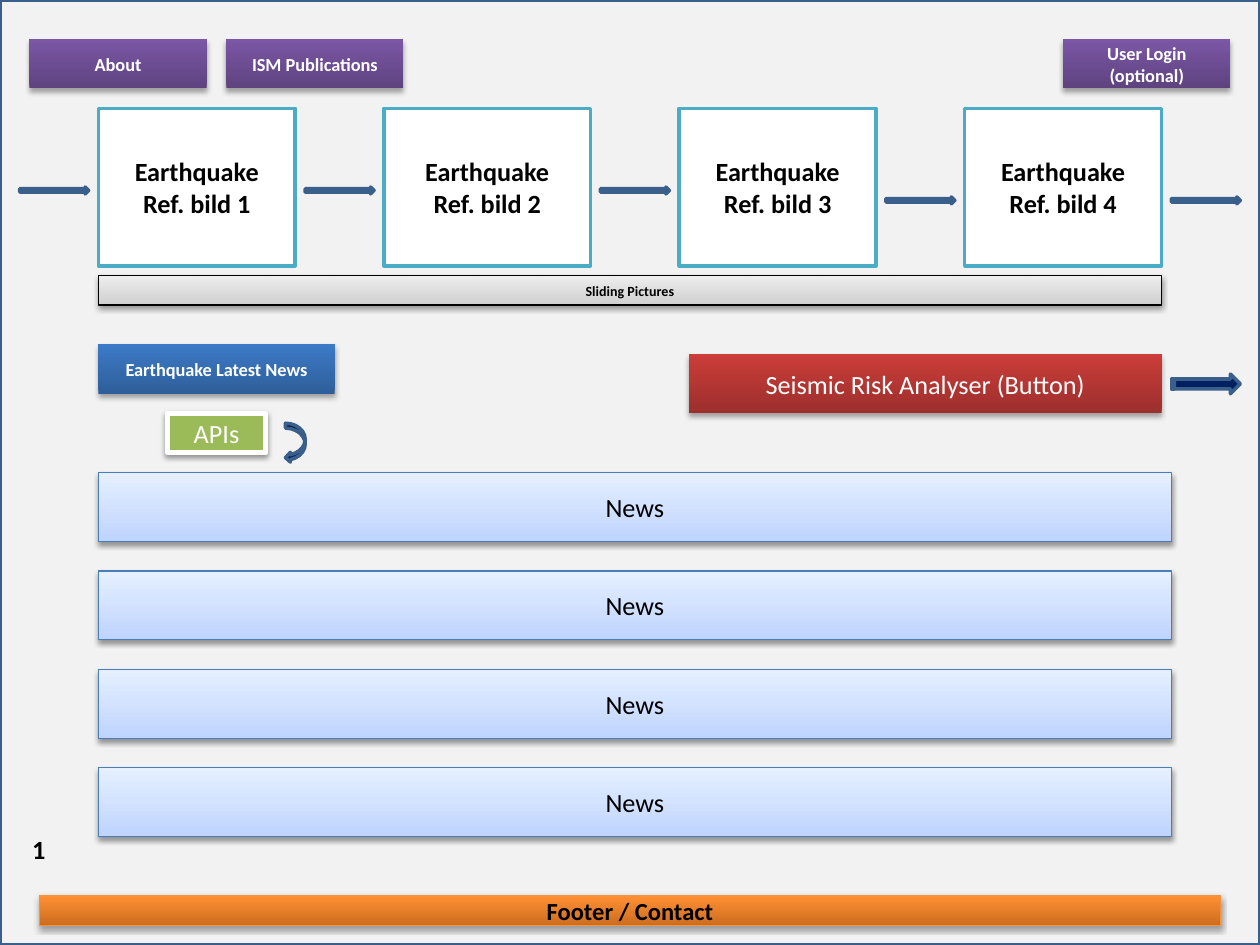
import pptx
import pptx.util
import pptx.dml.color
import pptx.enum.shapes
import pptx.enum.text
import pptx.oxml

Pt = pptx.util.Pt
KIND = pptx.enum.shapes.MSO_SHAPE
SOFT = (35, 1.8)
FIRM = (38, 1.6)
PURPLE = ("7B57A5", "5E437F")


def tint(color, value):
    """Set a colour from a hex string."""
    color.rgb = pptx.dml.color.RGBColor.from_string(value)


def shade(shape, alpha, drop):
    """Give a shape a downward shadow."""
    xml = (
        '<a:outerShdw xmlns:a="http://schemas.openxmlformats.org/drawingml/2006/main" '
        f'blurRad="{Pt(3.1)}" dist="{Pt(drop)}" dir="5400000" rotWithShape="0">'
        f'<a:srgbClr val="000000"><a:alpha val="{alpha * 1000}"/></a:srgbClr>'
        '</a:outerShdw>'
    )
    effects = shape._element.spPr.find(pptx.oxml.ns.qn("a:effectLst"))
    effects.append(pptx.oxml.parse_xml(xml))


def write(shape, lines, size, color, bold, align):
    """Write one paragraph for each line."""
    frame = shape.text_frame
    frame.word_wrap = True
    for i, line in enumerate(lines):
        para = frame.paragraphs[0] if i == 0 else frame.add_paragraph()
        para.alignment = align
        run = para.add_run()
        run.text = line
        run.font.name = "Calibri"
        run.font.size = Pt(size)
        run.font.bold = bold
        tint(run.font.color, color)


def block(slide, box, fill, line=None, width=0.75, shadow=None, lines=(),
          size=15, color="000000", bold=False, kind=KIND.RECTANGLE):
    """Add a shape; a pair of fills runs from top to bottom."""
    shape = slide.shapes.add_shape(kind, *map(Pt, box))
    shape.shadow.inherit = False
    if isinstance(fill, tuple):
        shape.fill.gradient()
        shape.fill.gradient_angle = 90
        for stop, value in zip(shape.fill.gradient_stops, reversed(fill)):
            tint(stop.color, value)
            stop.position = 0 if value == fill[1] else 1
    else:
        shape.fill.solid()
        tint(shape.fill.fore_color, fill)
    if line:
        tint(shape.line.color, line)
        shape.line.width = Pt(width)
    else:
        shape.line.fill.background()
    if shadow:
        shade(shape, *shadow)
    shape.text_frame.vertical_anchor = pptx.enum.text.MSO_ANCHOR.MIDDLE
    write(shape, lines, size, color, bold, pptx.enum.text.PP_ALIGN.CENTER)
    return shape


def arrow(slide, box, kind=KIND.RIGHT_ARROW):
    """Add a navy block arrow."""
    block(slide, box, "002060", "3A5F8B", 2, kind=kind)


def button(slide, box, fill, label):
    """Add a small button with a bold white label."""
    block(slide, box, fill, shadow=SOFT, lines=[label], size=10.5,
          color="FFFFFF", bold=True)


def menu(slide, x, y, w, h):
    """Place two buttons at the left and the login at the right."""
    button(slide, (x, y, 101.25, h), PURPLE, "About")
    button(slide, (x + 112.5, y, 101.25, h), PURPLE, "ISM Publications")
    button(slide, (x + w - 95.62, y, 95.62, h), PURPLE, "User Login (optional)")


def gallery(slide, x, y, w, h):
    """Place four frames, the arrows between them and the caption bar."""
    frames = [(0, 112.5, 45), (163.12, 118.12, 45),
              (331.88, 112.5, 50.62), (495, 112.5, 50.62)]
    arrow(slide, (x - 45, y + 45, 39.38, 3.94))
    for i, (left, wide, drop) in enumerate(frames, 1):
        block(slide, (x + left, y, wide, 90), "FFFFFF", "4BACC6", 2,
              lines=["Earthquake", f"Ref. bild {i}"], bold=True)
        # the second frame's arrow shares the upper row
        arrow(slide, (x + left + wide + 5.62, y + drop, 39.38, 3.94))
    block(slide, (x, y + h - 16.88, w, 16.88), ("EDEDED", "D0D0D0"), "000000",
          shadow=FIRM, lines=["Sliding Pictures"], size=8, bold=True)


def tools(slide, x, y, w, h):
    """Place the news heading, its source and the analyser button."""
    button(slide, (x, y, 135, 28.12), ("3C7AC7", "2E5F99"), "Earthquake Latest News")
    block(slide, (x + 39.38, y + 39.38, 56.25, 22.5), "9BBB59", "FFFFFF", 3, FIRM,
          ["APIs"], color="FFFFFF")
    arrow(slide, (x + 106.88, y + h - 22.5, 11.25, 22.5), KIND.CURVED_LEFT_ARROW)
    block(slide, (x + w - 270, y + 5.62, 270, 33.75), ("CB3D39", "9C2F2C"),
          shadow=SOFT, lines=["Seismic Risk Analyser (Button)"], color="FFFFFF")
    arrow(slide, (x + w + 5.62, y + 16.88, 39.38, 11.25), KIND.STRIPED_RIGHT_ARROW)


def feed(slide, x, y, w, h):
    """Stack four news bars at equal steps."""
    tall = 39.38
    step = (h - tall) / 3
    for i in range(4):
        block(slide, (x, y + i * step, w, tall), ("E5EFFF", "BFD4FE"), "4A7EBB",
              shadow=FIRM, lines=["News"])


def footer(slide, x, y, w, h):
    """Place the page number above the contact bar."""
    block(slide, (x, y, w, h), ("FF9033", "CC6D20"), "F59240", shadow=SOFT,
          lines=["Footer / Contact"], size=14, bold=True)
    page = slide.shapes.add_textbox(*map(Pt, (x - 11.25, y - 39.38, 22.5, 25.2)))
    write(page, ["1"], 15, "000000", True, pptx.enum.text.PP_ALIGN.LEFT)


def main():
    """Build the slide and save it."""
    deck = pptx.Presentation()
    deck.slide_width, deck.slide_height = Pt(720), Pt(540)
    slide = deck.slides.add_slide(deck.slide_layouts[6])
    block(slide, (0, 0, 720, 540), "F2F2F2", "3A5F8B", 2)
    menu(slide, 16.88, 22.5, 686.25, 28.12)
    gallery(slide, 56.25, 61.88, 607.5, 112.5)
    tools(slide, 56.25, 196.88, 607.5, 67.5)
    feed(slide, 56.25, 270, 613.12, 208.12)
    footer(slide, 22.5, 511.88, 675, 16.88)
    deck.save("out.pptx")


if __name__ == "__main__":
    main()
